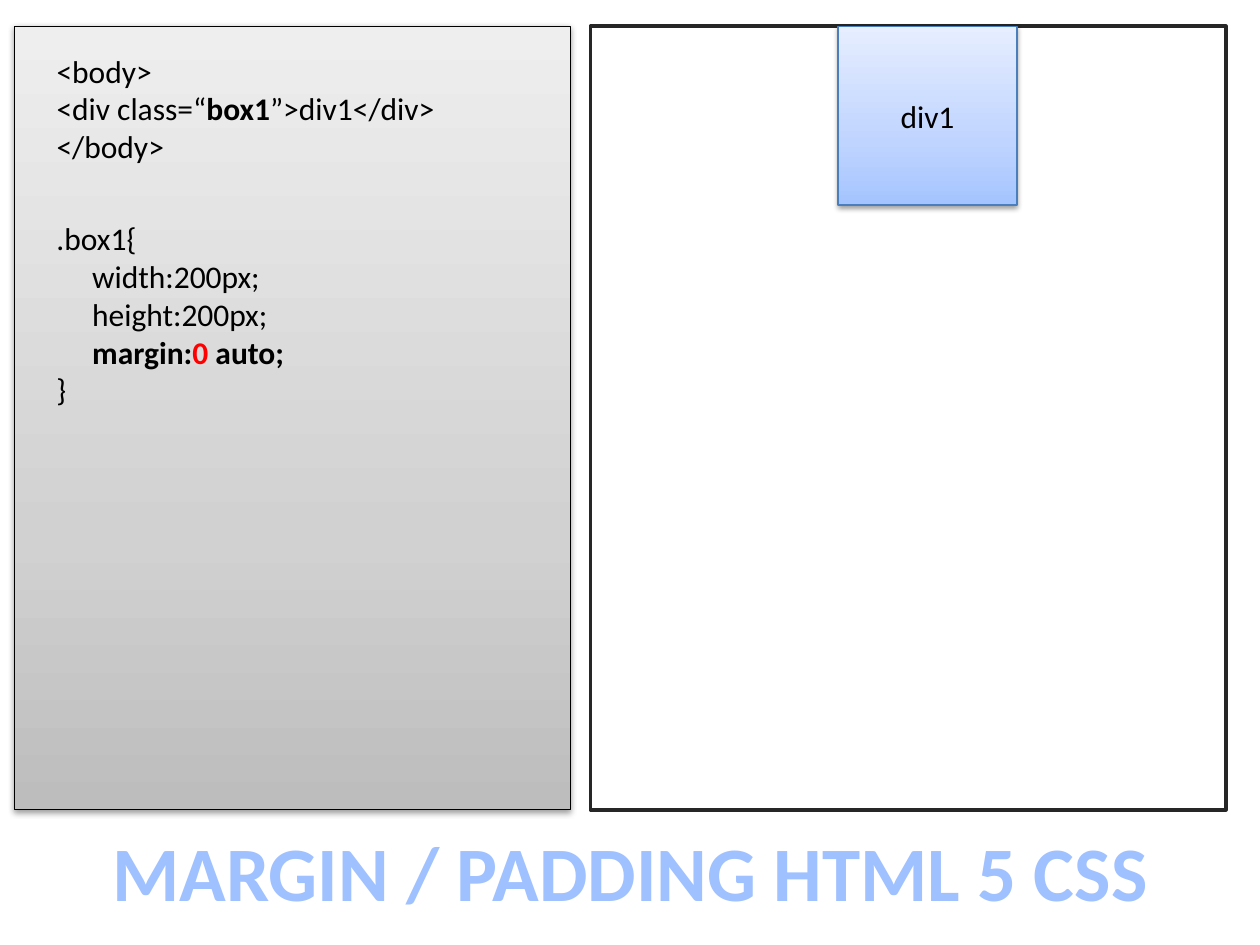
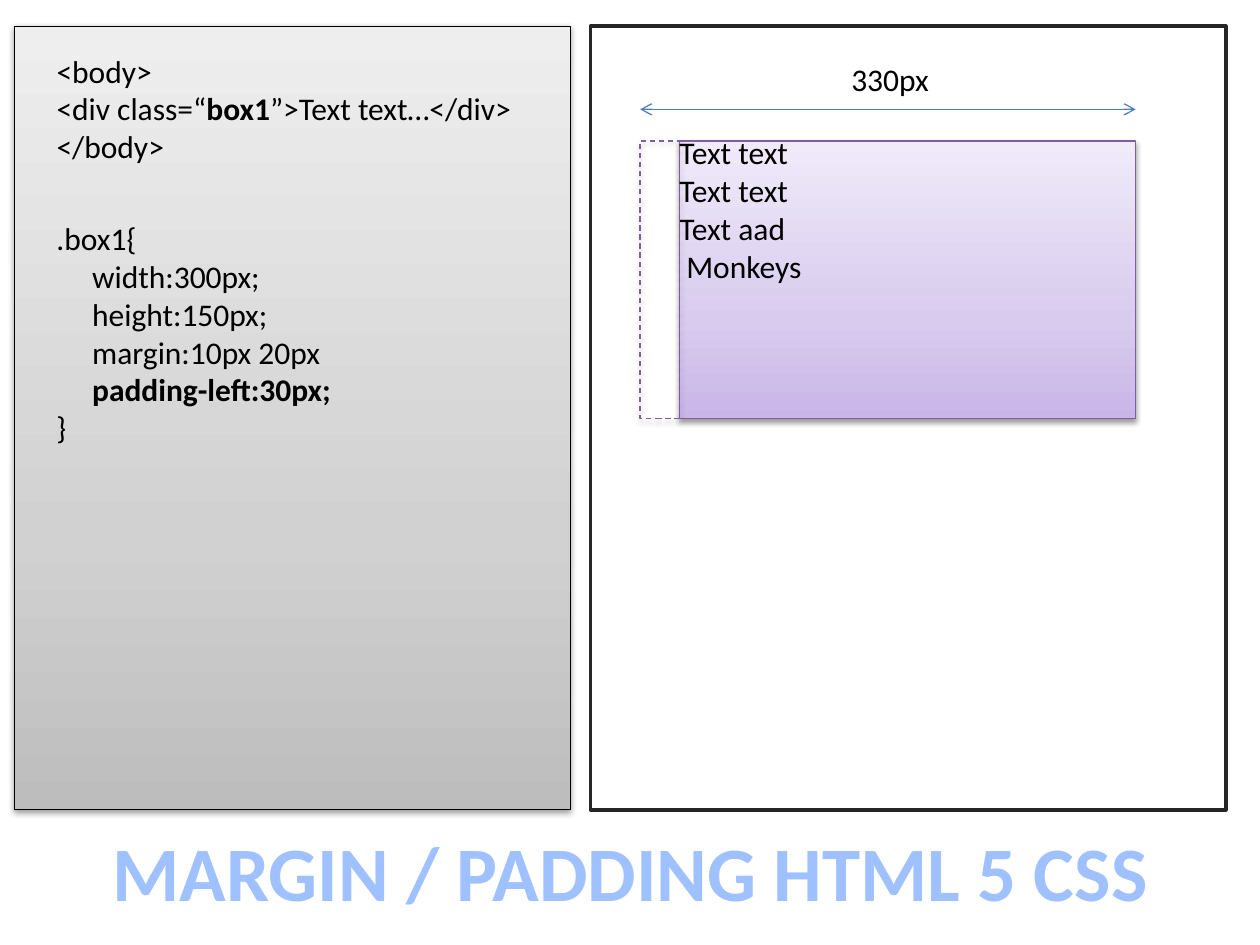
from dataclasses import dataclass
from lxml import etree
from pptx import Presentation
from pptx import util as u
from pptx.dml.color import RGBColor
from pptx.enum import dml, shapes, text
from pptx.oxml import ns


@dataclass(frozen=True)
class Theme:
    font: str = "Calibri"
    body_size: float = 18
    title_size: float = 44
    ink: str = "000000"
    accent: str = "FF0000"
    title: str = "A0C1FF"
    white: str = "FFFFFF"
    frame: str = "262626"
    blue: str = "4B7EBC"
    purple: str = "7D60A0"
    gray_fade: tuple = ("BDBDBD", "D1D1D1", "EEEEEE")
    blue_fade: tuple = ("A4C4FF", "BFD4FF", "E6EEFF")
    purple_fade: tuple = ("C9B5E8", "D8CBEE", "F0EAF9")
    fade_stops: tuple = (0, 35, 100)
    thin: float = 0.75
    thick: float = 2


THEME = Theme()
TITLE = "MARGIN / PADDING HTML 5 CSS"
TAB = 20.4
CODE_PANEL = (8.4, 15, 317.8, 447.8)
BROWSER = (337.5, 15, 363, 447.8)
HTML_AT = (25.2, 25.9, 300, 72.7)
CSS_AT = (25.2, 121.7, 249, 160)
TITLE_AT = (54, 467.3, 612.7, 60.5)

LESSONS = [
    {"content": "div1", "rules": ["width:200px;", "height:200px;"],
     "last": [("margin:", True), ("0", True, THEME.accent), (" auto;", True)]},
    {"content": "Text text…",
     "rules": ["width:300px;", "height:150px;", "margin:10px 20px"],
     "last": [("padding-left:30px;", True)]},
]
SAMPLE_LINES = [("Text text", 0), ("Text text", 0), ("Text aad", 0), ("Monkeys", 4)]


def points(values):
    return [u.Pt(value) for value in values]


def add_span(para, words, bold=False, color=THEME.ink, size=THEME.body_size):
    span = para.add_run()
    span.text = words
    span.font.name = THEME.font
    span.font.size = u.Pt(size)
    span.font.bold = bold
    span.font.color.rgb = RGBColor.from_string(color)


def write(frame, lines, align=text.PP_ALIGN.LEFT):
    for index, (spans, indent) in enumerate(lines):
        para = frame.paragraphs[0] if index == 0 else frame.add_paragraph()
        para.alignment = align
        if indent:
            para._p.get_or_add_pPr().set("marL", str(u.Pt(indent)))
        for span in spans:
            add_span(para, *span)


def add_text(page, place, lines, align=text.PP_ALIGN.LEFT, wrap=True):
    box = page.shapes.add_textbox(*points(place))
    box.text_frame.word_wrap = wrap
    write(box.text_frame, lines, align)


def add_fade(shape, colors):
    shape.fill.gradient()
    shape.fill.gradient_angle = 90
    stops = shape._element.spPr.find(".//" + ns.qn("a:gsLst"))
    for stop in list(stops):
        stops.remove(stop)
    for position, color in zip(THEME.fade_stops, colors):
        stop = etree.SubElement(stops, ns.qn("a:gs"), pos=str(position * 1000))
        etree.SubElement(stop, ns.qn("a:srgbClr"), val=color)


def add_shadow(shape):
    effects = shape._element.spPr.find(ns.qn("a:effectLst"))
    shadow = etree.SubElement(
        effects, ns.qn("a:outerShdw"), blurRad=str(u.Pt(3.1)),
        dist=str(u.Pt(1.6)), dir="5400000", rotWithShape="0")
    color = etree.SubElement(shadow, ns.qn("a:srgbClr"), val=THEME.ink)
    etree.SubElement(color, ns.qn("a:alpha"), val="38000")


def add_box(page, place, line, fill=None, width=THEME.thin, shadow=True):
    box = page.shapes.add_shape(shapes.MSO_SHAPE.RECTANGLE, *points(place))
    box.shadow.inherit = False
    if fill is None:
        box.fill.background()
    elif isinstance(fill, tuple):
        add_fade(box, fill)
    else:
        box.fill.solid()
        box.fill.fore_color.rgb = RGBColor.from_string(fill)
    box.line.color.rgb = RGBColor.from_string(line)
    box.line.width = u.Pt(width)
    if shadow:
        add_shadow(box)
    return box


def add_measure(page, left, right, top):
    arrow = page.shapes.add_connector(
        shapes.MSO_CONNECTOR.STRAIGHT, *points((left, top, right, top)))
    arrow.line.color.rgb = RGBColor.from_string(THEME.blue)
    arrow.line.width = u.Pt(THEME.thin)
    for end in ("a:headEnd", "a:tailEnd"):
        etree.SubElement(arrow.line._ln, ns.qn(end), type="arrow")
    etree.SubElement(arrow._element.spPr, ns.qn("a:effectLst"))


def add_title(page):
    title = page.shapes.title
    title.left, title.top, title.width, title.height = points(TITLE_AT)
    frame = title.text_frame
    frame.word_wrap = False
    frame.auto_size = text.MSO_AUTO_SIZE.NONE
    frame.vertical_anchor = text.MSO_ANCHOR.MIDDLE
    write(frame, [([(TITLE, True, THEME.title, THEME.title_size)], 0)],
          text.PP_ALIGN.CENTER)


def add_lesson(deck, lesson):
    page = deck.slides.add_slide(deck.slide_layouts[5])
    add_box(page, CODE_PANEL, THEME.ink, THEME.gray_fade)
    add_text(page, HTML_AT, [
        ([("<body>",)], 0),
        ([("<div class=“",), ("box1", True), (f"”>{lesson['content']}</div>",)], 0),
        ([("</body>",)], 0),
    ])
    rules = [([(rule,)], TAB) for rule in lesson["rules"]]
    add_text(page, CSS_AT, [([(".box1{",)], 0), *rules,
                            (lesson["last"], TAB), ([("}",)], 0)])
    add_box(page, BROWSER, THEME.frame, THEME.white, THEME.thick, shadow=False)
    add_title(page)
    return page


def draw_centered_box(page):
    box = add_box(page, (478.9, 15, 102.2, 102.2), THEME.blue, THEME.blue_fade)
    box.text_frame.vertical_anchor = text.MSO_ANCHOR.MIDDLE
    write(box.text_frame, [([("div1",)], 0)], text.PP_ALIGN.CENTER)


def draw_padded_box(page):
    left, inner, right, top, height = 365.8, 388.3, 649, 80.6, 158.6
    add_box(page, (inner, top, right - inner, height), THEME.purple, THEME.purple_fade)
    add_text(page, (inner - 7.2, 72.7, 102.2, 94.3),
             [([(line,)], indent) for line, indent in SAMPLE_LINES])
    padding = add_box(page, (left, top, inner - left, height), THEME.purple)
    padding.line.dash_style = dml.MSO_LINE.DASH
    add_text(page, (478.8, 31, 59, 28.8), [([("330px",)], 0)],
             text.PP_ALIGN.RIGHT, wrap=False)
    add_measure(page, left, right, 62.5)


deck = Presentation()
deck.slide_width, deck.slide_height = points((720, 540))
for lesson, draw in zip(LESSONS, (draw_centered_box, draw_padded_box)):
    draw(add_lesson(deck, lesson))
deck.save("out.pptx")
